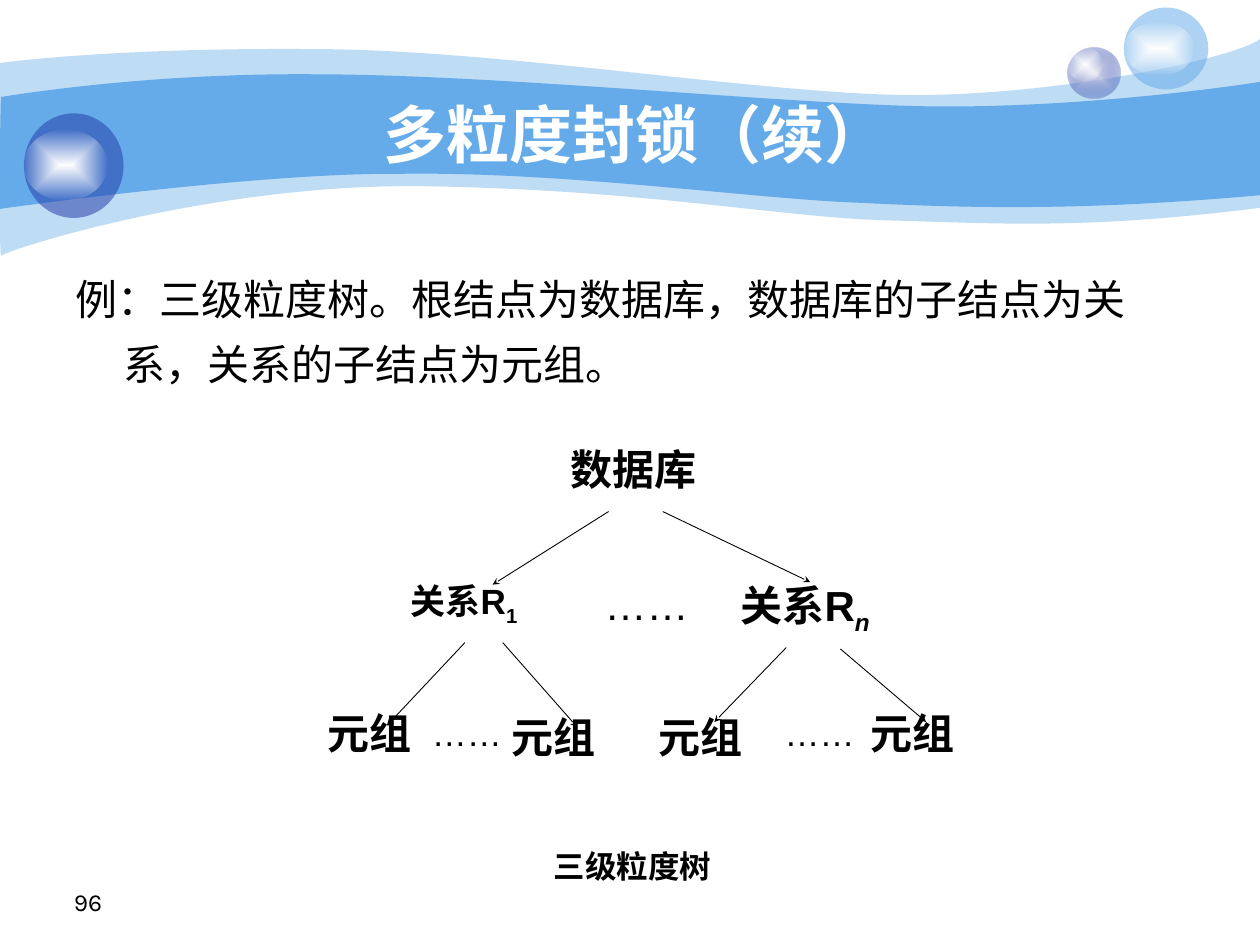
from dataclasses import dataclass

from lxml import etree
from pptx import Presentation
from pptx import util as u
from pptx.dml.color import RGBColor
from pptx.enum import shapes, text
from pptx.oxml import ns


@dataclass(frozen=True)
class Theme:
    band: str = "65AAE9"
    orb: str = "233DA9"
    pale: str = "E1E2ED"
    white: str = "FFFFFF"
    ink: str = "000000"
    font: str = "Arial"
    caption_font: str = "Times New Roman"
    number_font: str = "Karla"
    title: int = 36
    body: int = 24
    small: int = 20
    caption: int = 18
    number: int = 14


THEME = Theme()
ALIGN = text.PP_ALIGN
ANCHOR = text.MSO_ANCHOR

# Wave outlines: start point, then cubic curves (three points) or lines (one point)
OUTER_WAVE = [(0, 0.5),
              [(0.24, 0.47), (1.07, 0.38), (2.47, 0.39)],
              [(3.86, 0.39), (5.75, 0.7), (6.99, 0.75)],
              [(8.22, 0.8), (9.8, 0.47), (10, 0.31)],
              [(10, 1.65)],
              [(8.58, 1.83), (7.87, 1.77), (7.05, 1.75)],
              [(6.22, 1.73), (5.15, 1.51), (3.43, 1.48)],
              [(1.72, 1.44), (0.04, 1.99), (0.01, 2.03)],
              [(-0.01, 2.08), (0, 0.75), (0, 0.5)]]
INNER_WAVE = [(0.01, 0.77),
              [(0.02, 0.77), (1.1, 0.58), (2.48, 0.59)],
              [(3.86, 0.59), (5.95, 0.8), (7.18, 0.84)],
              [(8.41, 0.88), (9.76, 0.69), (10, 0.65)],
              [(10, 1.55)],
              [(8.53, 1.68), (7.65, 1.65), (6.82, 1.61)],
              [(5.99, 1.58), (4.47, 1.36), (3.17, 1.38)],
              [(2.03, 1.37), (-0.02, 1.66), (-0.01, 1.66)],
              [(0, 1.66), (0, 0.77), (0.01, 0.77)]]


def add_element(parent, tag, **attributes):
    return etree.SubElement(parent, ns.qn(tag), attributes)


def add_alpha(color, percent):
    if percent < 100:
        add_element(color, "a:alpha", val=str(percent * 1000))


def solid_fill(shape, color, alpha=100):
    shape.shadow.inherit = False
    shape.line.fill.background()
    shape.fill.solid()
    shape.fill.fore_color.rgb = RGBColor.from_string(color)
    add_alpha(shape.element.spPr.find(".//" + ns.qn("a:srgbClr")), alpha)


def glow_fill(shape, center, edge, edge_alpha):
    """Fill from the centre out to a see-through edge."""
    solid_fill(shape, center)
    solid = shape.element.spPr.find(ns.qn("a:solidFill"))
    gradient = etree.Element(ns.qn("a:gradFill"), rotWithShape="1")
    stops = add_element(gradient, "a:gsLst")
    for position, color, alpha in ((0, center, 100), (100, edge, edge_alpha)):
        stop = add_element(stops, "a:gs", pos=str(position * 1000))
        add_alpha(add_element(stop, "a:srgbClr", val=color), alpha)
    path = add_element(gradient, "a:path")
    path.set("path", "shape")
    add_element(path, "a:fillToRect", l="50000", t="50000", r="50000", b="50000")
    solid.getparent().replace(solid, gradient)


def add_wave(page, outline, alpha=100):
    """Draw all points as lines, then join each group of three into one curve."""
    start, *segments = outline
    to_emu = lambda point: tuple(u.Inches(value) for value in point)
    builder = page.shapes.build_freeform(*to_emu(start))
    builder.add_line_segments([to_emu(point) for group in segments for point in group],
                              close=True)
    shape = builder.convert_to_shape()
    lines = iter(list(shape.element.spPr.iter(ns.qn("a:lnTo"))))
    for group in segments:
        first, *others = [next(lines) for _ in group]
        if others:
            first.tag = ns.qn("a:cubicBezTo")
            for line in others:
                first.append(line[0])
                line.getparent().remove(line)
    solid_fill(shape, THEME.band, alpha)


def add_ellipse(page, left, top, width, height):
    return page.shapes.add_shape(shapes.MSO_SHAPE.OVAL, u.Inches(left), u.Inches(top),
                                 u.Inches(width), u.Inches(height))


def add_highlight(page, *place):
    glow_fill(add_ellipse(page, *place), THEME.white, THEME.white, 0)


def add_text(page, place, words, size=THEME.body, font=THEME.font, color=THEME.ink,
             bold=False, align=ALIGN.LEFT, anchor=ANCHOR.TOP, spacing=None,
             indent=0, hanging=0, wrap=True, subscript="", italic_subscript=False):
    box = page.shapes.add_textbox(*(u.Inches(value) for value in place))
    frame = box.text_frame
    frame.word_wrap = wrap
    frame.vertical_anchor = anchor
    para = frame.paragraphs[0]
    para.alignment = align
    if spacing:
        para.line_spacing = spacing
    properties = para._p.get_or_add_pPr()
    properties.set("hangingPunct", "0")
    if indent:
        properties.set("marL", str(u.Inches(indent)))
        properties.set("indent", str(-u.Inches(hanging)))
    for part in filter(None, (words, subscript)):
        span = para.add_run()
        span.text = part
        span.font.size = u.Pt(size)
        span.font.bold = bold
        span.font.color.rgb = RGBColor.from_string(color)
        span.font.name = font
        add_element(span.font._element, "a:ea", typeface=THEME.font)
    if subscript:
        span.font.italic = italic_subscript
        span.font._element.set("baseline", "-25000")


def add_arrow(page, start, end):
    ends = (u.Inches(value) for value in (*start, *end))
    arrow = page.shapes.add_connector(shapes.MSO_CONNECTOR.STRAIGHT, *ends)
    arrow.line.width = u.Pt(0.5)
    arrow.line.color.rgb = RGBColor.from_string(THEME.ink)
    add_element(arrow.line._get_or_add_ln(), "a:tailEnd", type="stealth",
                w="sm", len="sm")
    add_element(arrow.element.spPr, "a:effectLst")


def add_background(page):
    add_wave(page, OUTER_WAVE, alpha=41)
    add_wave(page, INNER_WAVE)
    # Small, pale and dark orbs, each with a highlight
    glow_fill(add_ellipse(page, 8.47, 0.38, 0.42, 0.4), THEME.pale, THEME.orb, 31)
    add_highlight(page, 8.47, 0.38, 0.28, 0.27)
    solid_fill(add_ellipse(page, 8.92, 0.06, 0.67, 0.65), THEME.band, 53)
    add_highlight(page, 8.92, 0.17, 0.56, 0.43)
    solid_fill(add_ellipse(page, 0.19, 0.9, 0.79, 0.83), THEME.orb, 53)
    add_highlight(page, 0.19, 1.03, 0.66, 0.56)


def add_tree(page):
    for start, end in (((4.83, 4.06), (3.91, 4.64)), ((5.26, 4.06), (6.43, 4.62)),
                       ((3.69, 5.1), (3.07, 5.76)), ((3.99, 5.1), (4.58, 5.77)),
                       ((6.24, 5.14), (5.67, 5.73)), ((6.67, 5.15), (7.35, 5.73))):
        add_arrow(page, start, end)
    # Root and relations
    node = dict(bold=True, spacing=0.96)
    add_text(page, (4.43, 3.5, 1.44, 0.64), "数据库", **node)
    add_text(page, (5.78, 4.55, 1.46, 0.57), "关系R", subscript="n",
             italic_subscript=True, **node)
    add_text(page, (3.16, 4.55, 1.68, 0.91), "关系R", size=THEME.small,
             subscript="1", **node)
    # Tuples
    for left, top in ((2.5, 5.59), (6.81, 5.59), (3.96, 5.62), (5.13, 5.62)):
        add_text(page, (left, top, 1.14, 0.59), "元组", **node)
    # Ellipses between siblings
    for left, top, size, indent in ((4.7, 4.57, THEME.body, 0),
                                    (5.95, 5.62, THEME.small, 0.18),
                                    (3.21, 5.62, THEME.small, 0.12)):
        add_text(page, (left, top, 1.46, 0.48), "……", size=size, indent=indent,
                 align=ALIGN.JUSTIFY, spacing=0.96)


def main():
    deck = Presentation()
    deck.slide_width, deck.slide_height = u.Inches(10), u.Inches(7.5)
    page = deck.slides.add_slide(deck.slide_layouts[6])
    add_background(page)
    # Title and example
    add_text(page, (1, 0.75, 8.08, 0.62), "多粒度封锁（续）", size=THEME.title,
             color=THEME.white, bold=True, align=ALIGN.CENTER, anchor=ANCHOR.MIDDLE)
    add_text(page, (0.5, 2, 9, 4.92),
             "例：三级粒度树。根结点为数据库，数据库的子结点为关系，关系的子结点为元组。",
             spacing=1.3, indent=0.38, hanging=0.38)
    add_tree(page)
    # Caption and page number
    add_text(page, (4.29, 6.43, 1.46, 0.4), "三级粒度树", size=THEME.caption,
             font=THEME.caption_font, bold=True, align=ALIGN.CENTER, spacing=1.8,
             indent=0.38, hanging=0.38, wrap=False)
    add_text(page, (0.27, 6.82, 0.64, 0.5), "96", size=THEME.number,
             font=THEME.number_font, align=ALIGN.RIGHT, anchor=ANCHOR.BOTTOM)
    deck.save("out.pptx")


if __name__ == "__main__":
    main()
